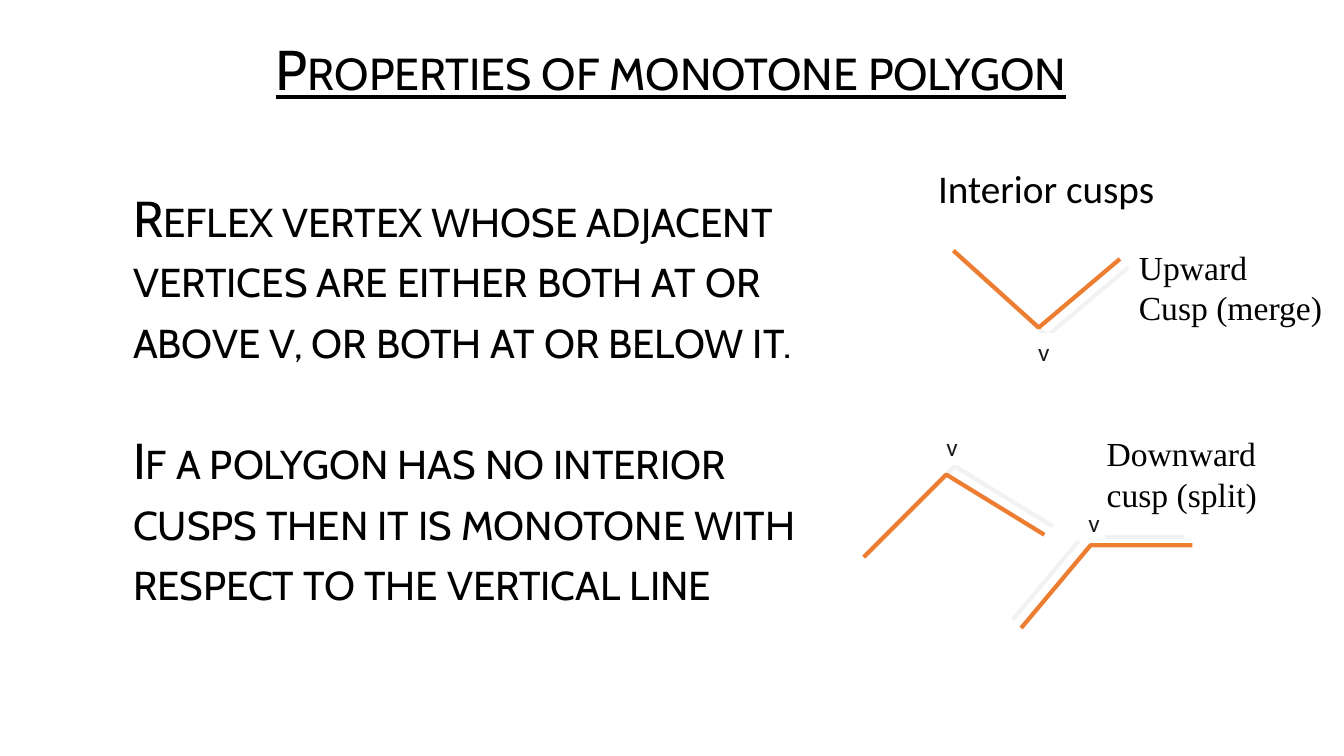
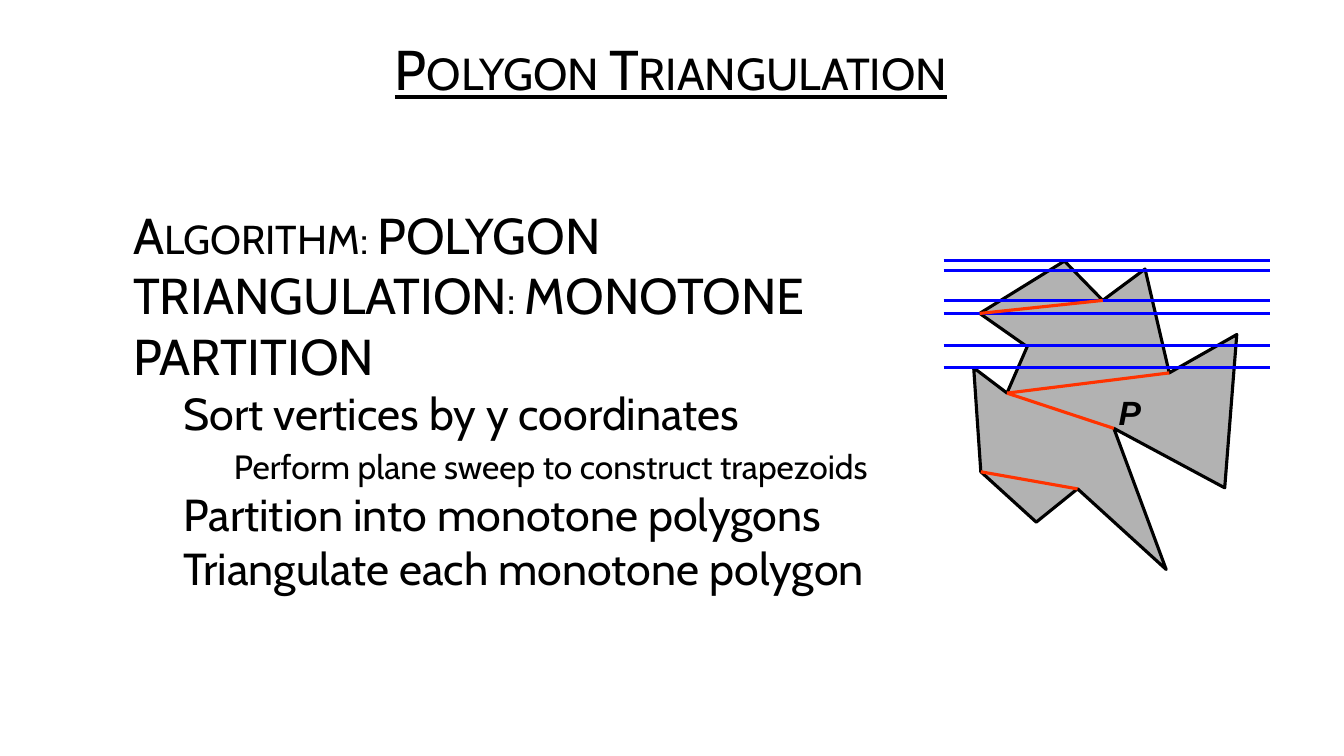
from dataclasses import dataclass

import pptx
import pptx.dml.color
import pptx.enum.shapes
import pptx.enum.text
import pptx.oxml
import pptx.oxml.ns
import pptx.presentation
import pptx.shapes.base
import pptx.slide
import pptx.text.text
import pptx.util

Pt = pptx.util.Pt
ANCHOR = pptx.enum.text.MSO_ANCHOR
ALIGN = pptx.enum.text.PP_ALIGN
Point = tuple[float, float]

COLORS = {
    "text": "000000",
    "label": "1A1A1A",
    "background": "FFFFFF",
    "cusp": "ED7D31",
    "shadow": "E7E6E6",
    "polygon": "B2B2B2",
    "outline": "000000",
    "sweep": "0000FF",
    "diagonal": "FF3300",
}
TITLE_FONT = "Cabin"
LINE_WIDTH = 2.25


@dataclass(frozen=True)
class Box:
    left: float
    top: float
    width: float
    height: float

    def lengths(self) -> tuple[pptx.util.Length, ...]:
        return Pt(self.left), Pt(self.top), Pt(self.width), Pt(self.height)


@dataclass(frozen=True)
class TextLine:
    text: str
    size: float
    font: str = TITLE_FONT
    level: int = 0
    space_before: float = 0
    small_caps: bool = False
    bold_italic: bool = False


@dataclass(frozen=True)
class Cusp:
    points: tuple[Point, ...]
    shadow_angle: int
    label_corner: Point


TITLE_BOX = Box(125, 21, 708.5, 61)

# Slide 1 content
PROPERTIES = [
    TextLine("Reflex vertex whose adjacent vertices are either both at or above v, "
             "or both at or below it.", 36, small_caps=True),
    TextLine("If a polygon has no interior cusps then it is monotone with respect "
             "to the vertical line", 36, space_before=43.5, small_caps=True),
]
CUSPS = [
    Cusp(((681, 179), (742, 234), (800, 185)), 45, (734.4, 238.3)),
    Cusp(((617, 398), (676, 339), (746, 382)), 315, (669, 306)),
    Cusp(((729.4, 448.6), (779, 389.5), (851.8, 389.5)), 225, (770.4, 360)),
]

# Slide 2 content
ALGORITHM = [
    TextLine("Algorithm: POLYGON TRIANGULATION: MONOTONE PARTITION", 36, small_caps=True),
    TextLine("Sort vertices by y coordinates", 32, level=1),
    TextLine("Perform plane sweep to construct trapezoids", 24, level=2, space_before=5),
    TextLine("Partition into monotone polygons", 32, level=1),
    TextLine("Triangulate each monotone polygon", 32, level=1),
]
VERTICES = [
    (833, 406.8), (769.7, 349.2), (740.2, 373), (700.6, 337), (695.5, 262.8),
    (719.3, 280.8), (733.7, 247.7), (699.8, 223.9), (760.3, 186.5), (787.7, 214.6),
    (817.9, 192.2), (835.2, 266.4), (883.4, 239), (874.8, 348.5), (795.6, 306),
]
DIAGONALS = [(9, 7), (11, 5), (14, 5), (1, 3)]  # pairs of vertex indices
SWEEP_LEFT, SWEEP_RIGHT = 674, 907.5
SWEEP_HEIGHTS = [185.8, 193, 214.6, 223.9, 247, 262.8]


def color(name: str) -> pptx.dml.color.RGBColor:
    return pptx.dml.color.RGBColor.from_string(COLORS[name])


def style_font(paragraph: pptx.text.text._Paragraph, line: TextLine,
               color_name: str = "text") -> None:
    font = paragraph.font
    font.name = line.font
    font.size = Pt(line.size)
    font.color.rgb = color(color_name)
    if line.bold_italic:
        font.bold = font.italic = True
    if line.small_caps:
        properties = paragraph._p.get_or_add_pPr()
        properties.find(pptx.oxml.ns.qn("a:defRPr")).set("cap", "small")


def add_text(slide: pptx.slide.Slide, box: Box, lines: list[TextLine],
             wrap: bool = True) -> pptx.text.text.TextFrame:
    frame = slide.shapes.add_textbox(*box.lengths()).text_frame
    frame.word_wrap = wrap
    for index, line in enumerate(lines):
        paragraph = frame.add_paragraph() if index else frame.paragraphs[0]
        paragraph.text = line.text
        if line.space_before:
            paragraph.space_before = Pt(line.space_before)
        style_font(paragraph, line)
    return frame


def add_body(slide: pptx.slide.Slide, width: float, lines: list[TextLine]) -> None:
    frame = add_text(slide, Box(52, 95, width, 380), lines)
    frame.vertical_anchor = ANCHOR.MIDDLE
    for paragraph, line in zip(frame.paragraphs, lines):
        paragraph.level = line.level
        properties = paragraph._p.get_or_add_pPr()
        properties.set("marL", str(Pt(36 * (line.level + 1))))
        properties.set("indent", "0")


def add_titled_slide(presentation: pptx.presentation.Presentation,
                     text: str) -> pptx.slide.Slide:
    slide = presentation.slides.add_slide(presentation.slide_layouts.get_by_name("Title Only"))
    title = slide.shapes.title
    title.left, title.top, title.width, title.height = TITLE_BOX.lengths()
    frame = title.text_frame
    frame.text = text
    frame.auto_size = pptx.enum.text.MSO_AUTO_SIZE.NONE
    frame.vertical_anchor = ANCHOR.MIDDLE
    paragraph = frame.paragraphs[0]
    paragraph.alignment = ALIGN.CENTER
    paragraph.line_spacing = 0.9
    paragraph.space_before = Pt(10)
    style_font(paragraph, TextLine(text, 40, small_caps=True))
    paragraph.font.underline = True
    return slide


def add_outline(slide: pptx.slide.Slide, points: list[Point] | tuple[Point, ...],
                closed: bool, line_color: str,
                line_width: float) -> pptx.shapes.base.BaseShape:
    corners = [(Pt(x), Pt(y)) for x, y in points]
    builder = slide.shapes.build_freeform(*corners[0])
    builder.add_line_segments(corners[1:], close=closed)
    shape = builder.convert_to_shape()
    shape.shadow.inherit = False
    shape.line.color.rgb = color(line_color)
    shape.line.width = Pt(line_width)
    return shape


def add_cusp(slide: pptx.slide.Slide, cusp: Cusp) -> None:
    shape = add_outline(slide, cusp.points, False, "cusp", 3)
    shape.fill.background()
    # Hard offset shadow
    effects = shape._element.spPr.find(pptx.oxml.ns.qn("a:effectLst"))
    effects.append(pptx.oxml.parse_xml(
        f'<a:outerShdw {pptx.oxml.ns.nsdecls("a")} blurRad="0" dist="{Pt(8.5)}" '
        f'dir="{cusp.shadow_angle * 60000}" algn="ctr" rotWithShape="0">'
        f'<a:srgbClr val="{COLORS["shadow"]}"><a:alpha val="50000"/></a:srgbClr>'
        '</a:outerShdw>'))


def add_vertex_label(slide: pptx.slide.Slide, corner: Point) -> None:
    shape = slide.shapes.add_shape(pptx.enum.shapes.MSO_SHAPE.RECTANGLE,
                                   *Box(*corner, 18.7, 26).lengths())
    shape.shadow.inherit = False
    shape.fill.solid()
    shape.fill.fore_color.rgb = color("background")
    shape.line.color.rgb = color("background")
    shape.line.width = Pt(1)
    frame = shape.text_frame
    frame.text = "v"
    frame.vertical_anchor = ANCHOR.MIDDLE
    frame.paragraphs[0].alignment = ALIGN.CENTER
    style_font(frame.paragraphs[0], TextLine("v", 18, "Calibri"), "label")


def add_segment(slide: pptx.slide.Slide, start: Point, end: Point, color_name: str) -> None:
    connector = slide.shapes.add_connector(
        pptx.enum.shapes.MSO_CONNECTOR.STRAIGHT, *(Pt(value) for value in (*start, *end)))
    connector.line.color.rgb = color(color_name)
    connector.line.width = Pt(LINE_WIDTH)
    connector._element.spPr.append(pptx.oxml.parse_xml(
        f'<a:effectLst {pptx.oxml.ns.nsdecls("a")}/>'))


def build_properties_slide(presentation: pptx.presentation.Presentation) -> None:
    slide = add_titled_slide(presentation, "Properties of monotone polygon")
    add_body(slide, 548, PROPERTIES)
    for cusp in CUSPS:
        add_cusp(slide, cusp)

    # Captions beside the cusps
    serif = "Times New Roman"
    add_text(slide, Box(806.4, 172.8, 147, 65.5),
             [TextLine("Upward", 24, serif), TextLine("Cusp (merge)", 24, serif)], wrap=False)
    add_text(slide, Box(783.4, 306, 158.4, 65.5),
             [TextLine("Downward cusp (split)", 24, serif)])
    add_text(slide, Box(663, 113.8, 271.5, 41), [TextLine("Interior cusps", 28, "Calibri")])
    for cusp in CUSPS:
        add_vertex_label(slide, cusp.label_corner)


def build_triangulation_slide(presentation: pptx.presentation.Presentation) -> None:
    slide = add_titled_slide(presentation, "Polygon Triangulation")
    add_body(slide, 589.7, ALGORITHM)

    # Polygon with its name
    polygon = add_outline(slide, VERTICES, True, "outline", LINE_WIDTH)
    polygon.fill.solid()
    polygon.fill.fore_color.rgb = color("polygon")
    add_text(slide, Box(792, 276.5, 37.4, 36.7), [TextLine("P", 24, "Arial", bold_italic=True)])

    # Sweep lines and diagonals
    for height in SWEEP_HEIGHTS:
        add_segment(slide, (SWEEP_LEFT, height), (SWEEP_RIGHT, height), "sweep")
    for start, end in DIAGONALS:
        add_segment(slide, VERTICES[start], VERTICES[end], "diagonal")


def main() -> None:
    presentation = pptx.Presentation()
    presentation.slide_width = Pt(960)
    presentation.slide_height = Pt(540)
    build_properties_slide(presentation)
    build_triangulation_slide(presentation)
    presentation.save("out.pptx")


if __name__ == "__main__":
    main()
